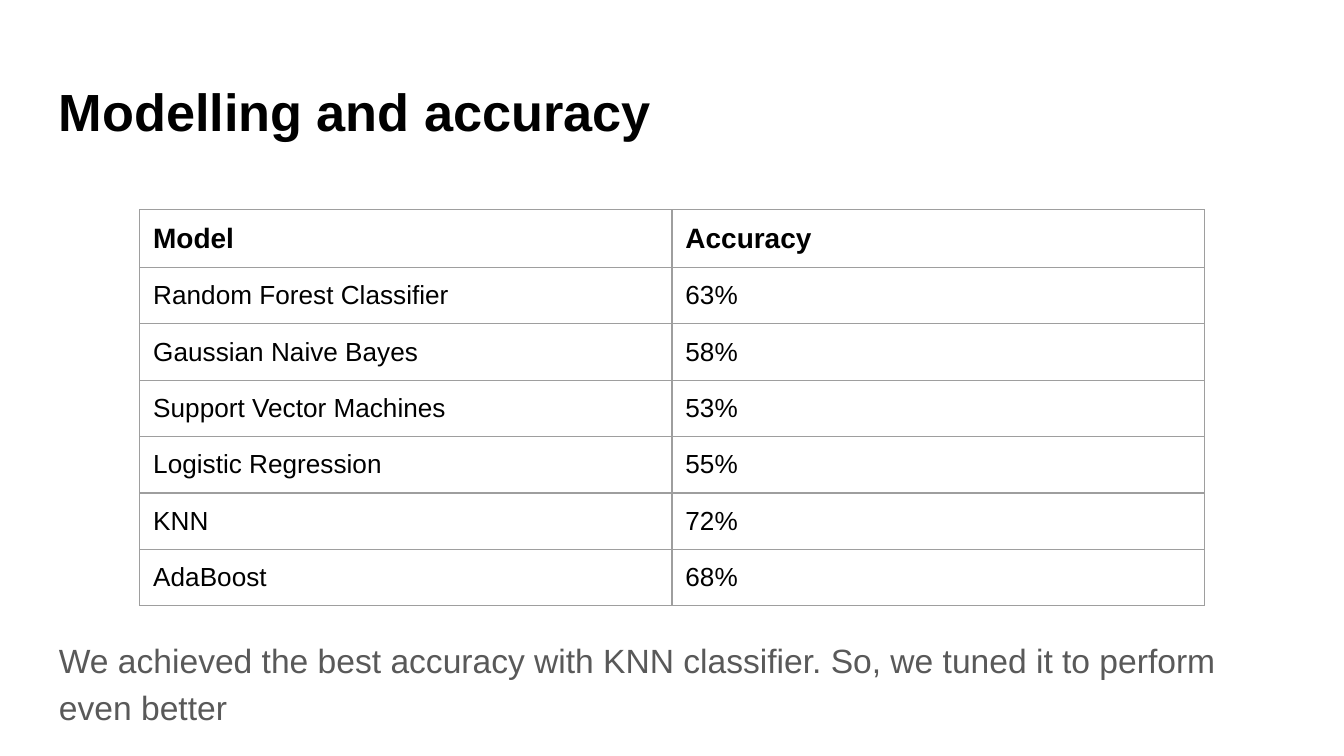
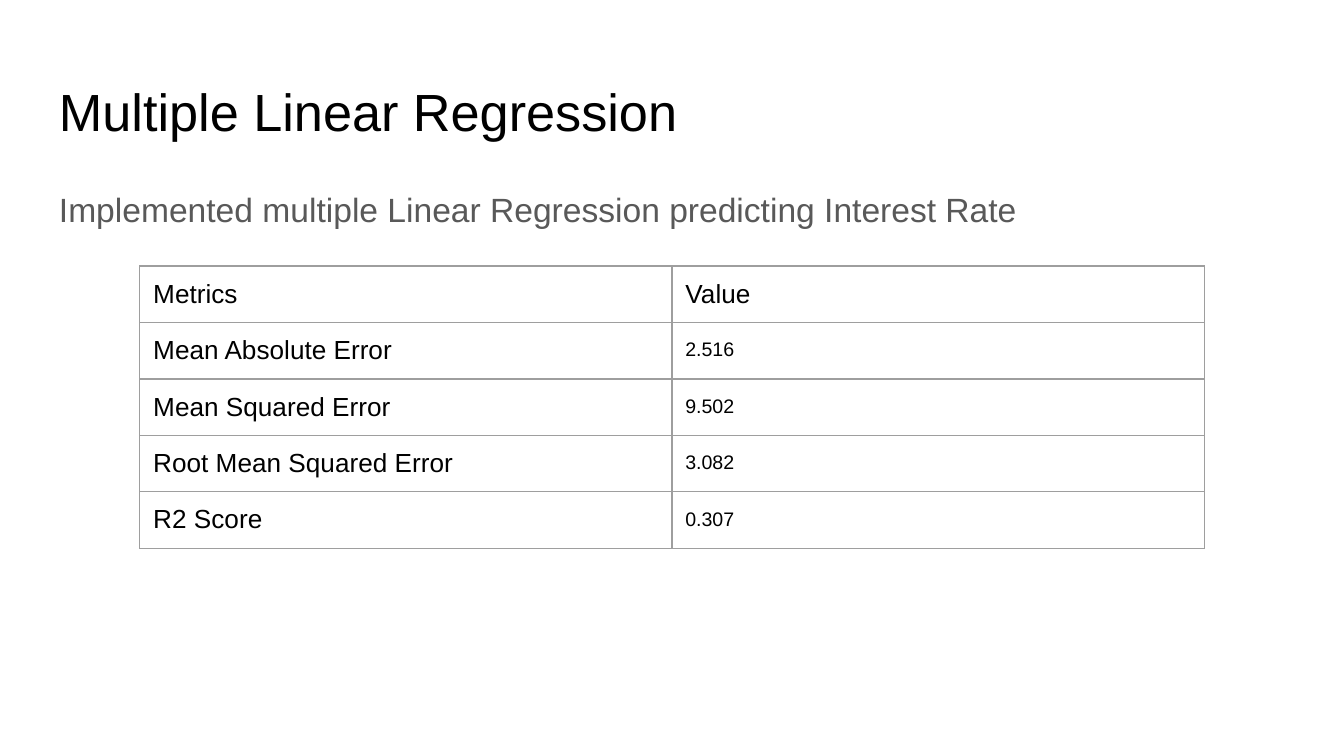
from lxml import etree
from pptx import Presentation
from pptx import util as u
from pptx.dml.color import RGBColor
from pptx.oxml.ns import qn

WIDTH = 10
HEIGHT = WIDTH * 9 / 16
FONT = "Arial"
BLACK, GREY, RULE = "000000", "595959", "9E9E9E"
PAD, CELL_BOTTOM = 0.1, 0.08
MARGIN = 0.34
TEXT_WIDTH = WIDTH - 2 * MARGIN
TITLE_BOX = (MARGIN, 0.49, TEXT_WIDTH, 0.63)
TABLE_LEFT, COLUMN_WIDTH, ROW_HEIGHT = 1.04, 3.96, 0.42

MODELS = [
    ("Model", "Accuracy"),
    ("Random Forest Classifier", "63%"),
    ("Gaussian Naive Bayes", "58%"),
    ("Support Vector Machines", "53%"),
    ("Logistic Regression", "55%"),
    ("KNN", "72%"),
    ("AdaBoost", "68%"),
]
METRICS = [
    ("Metrics", "Value"),
    ("Mean Absolute Error", "2.516"),
    ("Mean Squared Error", "9.502"),
    ("Root Mean Squared Error", "3.082"),
    ("R2 Score", "0.307"),
]


def color(value):
    return RGBColor.from_string(value)


def write(paragraph, words, size, ink=BLACK, bold=False, spacing=None):
    paragraph.text = words
    paragraph.line_spacing = spacing
    font = paragraph.font
    font.name, font.size, font.bold = FONT, u.Pt(size), bold
    font.color.rgb = color(ink)


def set_padding(holder, bottom=PAD):
    holder.margin_left = holder.margin_right = holder.margin_top = u.Inches(PAD)
    holder.margin_bottom = u.Inches(bottom)


def add_words(slide, box, words, size, **style):
    frame = slide.shapes.add_textbox(*map(u.Inches, box)).text_frame
    frame.word_wrap = True
    set_padding(frame)
    write(frame.paragraphs[0], words, size, **style)


def add_title(slide, words, bold=False):
    add_words(slide, TITLE_BOX, words, 28, bold=bold)


def add_remark(slide, top, height, words):
    add_words(slide, (MARGIN, top, TEXT_WIDTH, height), words, 18,
              ink=GREY, spacing=1.15)


def outline(cell):
    properties = cell._tc.get_or_add_tcPr()
    for side in ("lnL", "lnR", "lnT", "lnB"):
        line = etree.SubElement(properties, qn(f"a:{side}"), w=str(u.Pt(0.75)))
        fill = etree.SubElement(line, qn("a:solidFill"))
        etree.SubElement(fill, qn("a:srgbClr"), val=RULE)


def add_results(slide, top, rows, header_style, value_style):
    """Draw a grid whose header row and value column may have their own style."""
    columns = len(rows[0])
    table = slide.shapes.add_table(
        len(rows), columns, u.Inches(TABLE_LEFT), u.Inches(top),
        u.Inches(columns * COLUMN_WIDTH), u.Inches(len(rows) * ROW_HEIGHT),
    ).table
    table.first_row = table.horz_banding = False
    for r, row in enumerate(rows):
        for c, words in enumerate(row):
            cell = table.cell(r, c)
            outline(cell)
            cell.fill.background()
            set_padding(cell, CELL_BOTTOM)
            style = header_style if r == 0 else value_style if c else {}
            write(cell.text_frame.paragraphs[0], words, **{"size": 14, **style})


def build_accuracy(slide):
    add_title(slide, "Modelling and accuracy", bold=True)
    add_remark(slide, 4.62, 0.9,
               "We achieved the best accuracy with KNN classifier. "
               "So, we tuned it to perform even better")
    add_results(slide, 1.56, MODELS, {"size": 15, "bold": True}, {})


def build_regression(slide):
    add_title(slide, "Multiple Linear Regression")
    add_remark(slide, 1.26, 3.74,
               "Implemented multiple Linear Regression predicting Interest Rate")
    add_results(slide, 1.98, METRICS, {}, {"size": 10.5, "spacing": 1.15})


def main():
    deck = Presentation()
    deck.slide_width, deck.slide_height = u.Inches(WIDTH), u.Inches(HEIGHT)
    for build in (build_accuracy, build_regression):
        build(deck.slides.add_slide(deck.slide_layouts[6]))
    deck.save("out.pptx")


if __name__ == "__main__":
    main()
